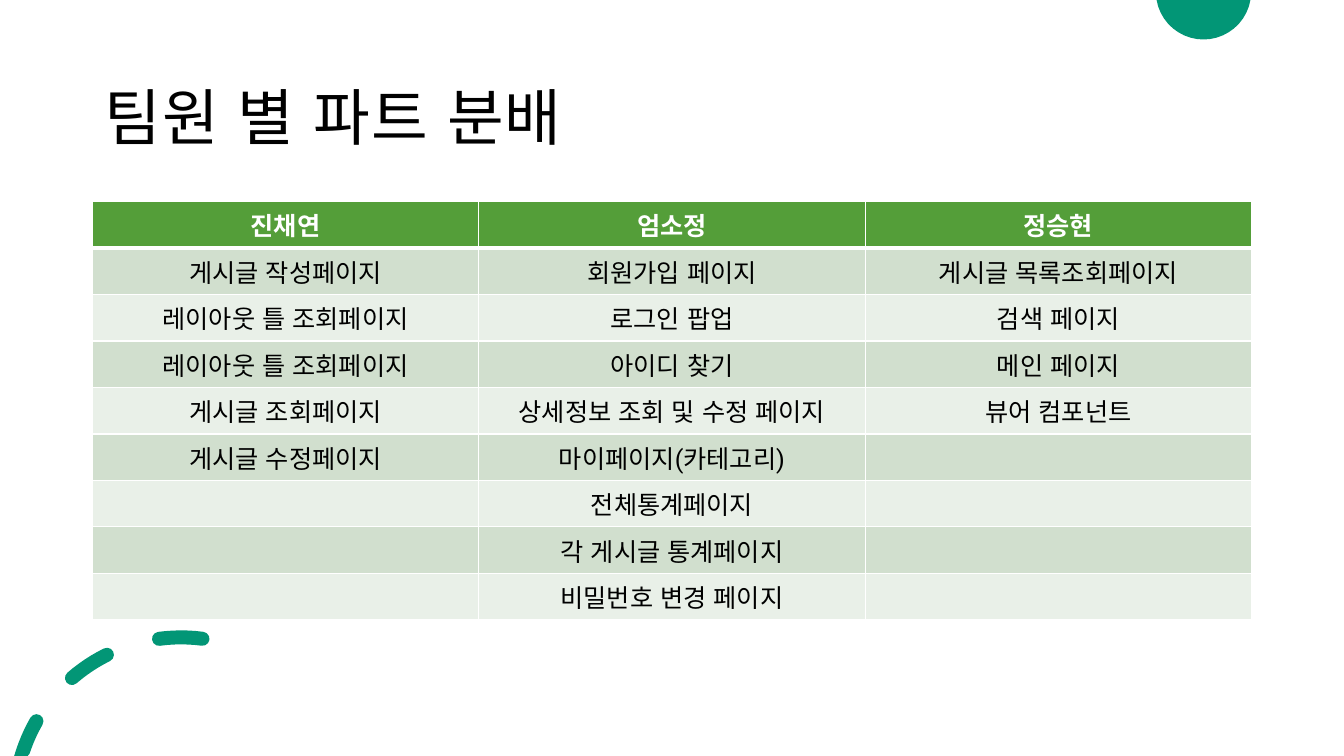
from math import cos, radians, sin

from lxml.etree import SubElement
from pptx import Presentation
from pptx.dml.color import RGBColor
from pptx.enum.text import MSO_ANCHOR, PP_ALIGN
from pptx.oxml.ns import qn
from pptx.util import Pt

FONT = "Roboto"
TEAL, GREEN, WHITE, BLACK = "029676", "549E39", "FFFFFF", "000000"
BANDS = ["D1DFCE", "E9F0E8"]
PAGE_WIDTH, PAGE_HEIGHT = 960, 540
ROW_HEIGHT = 33.2
UNITS = 100  # outline steps per point


def arc(x, y, radius, start, end, steps=6):
    """Points along an arc, in degrees clockwise from the top, kept on the page."""
    angles = [radians(start + (end - start) * i / steps) for i in range(steps + 1)]
    return [
        (UNITS * (x + radius * sin(a)), UNITS * min(y - radius * cos(a), PAGE_HEIGHT))
        for a in angles
    ]


def add_run(para, text, size, color, bold=False):
    span = para.add_run()
    span.text = text
    span.font.name = FONT
    span.font.size = Pt(size)
    span.font.bold = bold
    span.font.color.rgb = RGBColor.from_string(color)
    span.font._element.set("lang", "ko-KR")
    return span


deck = Presentation()
deck.slide_width, deck.slide_height = Pt(PAGE_WIDTH), Pt(PAGE_HEIGHT)
page = deck.slides.add_slide(deck.slide_layouts[6])

# Corner decorations: a cut disc, and round-ended dashes along one circle
disc = arc(859.68, -5.8, 34, 99.82, 260.18, 20)
center_x, center_y, radius, half = 129.3, 574.3, 119, 5
dashes = []
for start, end in [(-73.9, -60.2), (-40.9, -26.4), (-7.6, 7.4)]:
    outline = arc(center_x, center_y, radius + half, start, end)
    for angle, turn, inner in ((end, 0, True), (start, 180, False)):
        cap_x = center_x + radius * sin(radians(angle))
        cap_y = center_y - radius * cos(radians(angle))
        outline += arc(cap_x, cap_y, half, angle + turn, angle + turn + 180)[1:]
        if inner:
            outline += arc(center_x, center_y, radius - half, end, start)[1:]
    dashes.append(outline[:-1])

for outlines in ([disc], dashes):
    builder = page.shapes.build_freeform(*outlines[0][0], scale=Pt(1) / UNITS)
    for number, outline in enumerate(outlines):
        if number:
            builder.move_to(*outline[0])
        builder.add_line_segments(outline[1:], close=True)
    shape = builder.convert_to_shape()
    shape.shadow.inherit = False
    shape.fill.solid()
    shape.fill.fore_color.rgb = RGBColor.from_string(TEAL)
    shape.line.fill.background()

# Title
box = page.shapes.add_textbox(Pt(66), Pt(28.8), Pt(828), Pt(104.4))
frame = box.text_frame
frame.word_wrap = True
frame.vertical_anchor = MSO_ANCHOR.MIDDLE
frame.margin_left = frame.margin_right = frame.margin_top = Pt(8.64)
frame.margin_bottom = Pt(7.2)
para = frame.paragraphs[0]
para.line_spacing = 1.05
span = add_run(para, "팀원 별 파트 분배", 44, BLACK)
span.font._element.set("spc", "70")

# Table of parts by member
rows = [
    ("진채연", "엄소정", "정승현"),
    ("게시글 작성페이지", "회원가입 페이지", "게시글 목록조회페이지"),
    ("레이아웃 틀 조회페이지", "로그인 팝업", "검색 페이지"),
    ("레이아웃 틀 조회페이지", "아이디 찾기", "메인 페이지"),
    ("게시글 조회페이지", "상세정보 조회 및 수정 페이지", "뷰어 컴포넌트"),
    ("게시글 수정페이지", "마이페이지(카테고리)", ""),
    ("", "전체통계페이지", ""),
    ("", "각 게시글 통계페이지", ""),
    ("", "비밀번호 변경 페이지", ""),
]
height = Pt(ROW_HEIGHT * len(rows))
table = page.shapes.add_table(len(rows), 3, Pt(66), Pt(144), Pt(828), height).table
for r, texts in enumerate(rows):
    for c, text in enumerate(texts):
        cell = table.cell(r, c)
        # White borders, thicker under the header
        properties = cell._tc.get_or_add_tcPr()
        for side in ("lnL", "lnR", "lnT", "lnB"):
            thick = (r, side) in ((0, "lnB"), (1, "lnT"))
            border = SubElement(properties, qn(f"a:{side}"), w=str(Pt(3 if thick else 1)))
            SubElement(SubElement(border, qn("a:solidFill")), qn("a:srgbClr"), val=WHITE)
        cell.fill.solid()
        cell.fill.fore_color.rgb = RGBColor.from_string(BANDS[(r - 1) % 2] if r else GREEN)
        cell.vertical_anchor = MSO_ANCHOR.MIDDLE
        para = cell.text_frame.paragraphs[0]
        para.alignment = PP_ALIGN.CENTER
        para.font.size = Pt(18)
        if text:
            add_run(para, text, 18, BLACK if r else WHITE, bold=r == 0)

deck.save("out.pptx")
